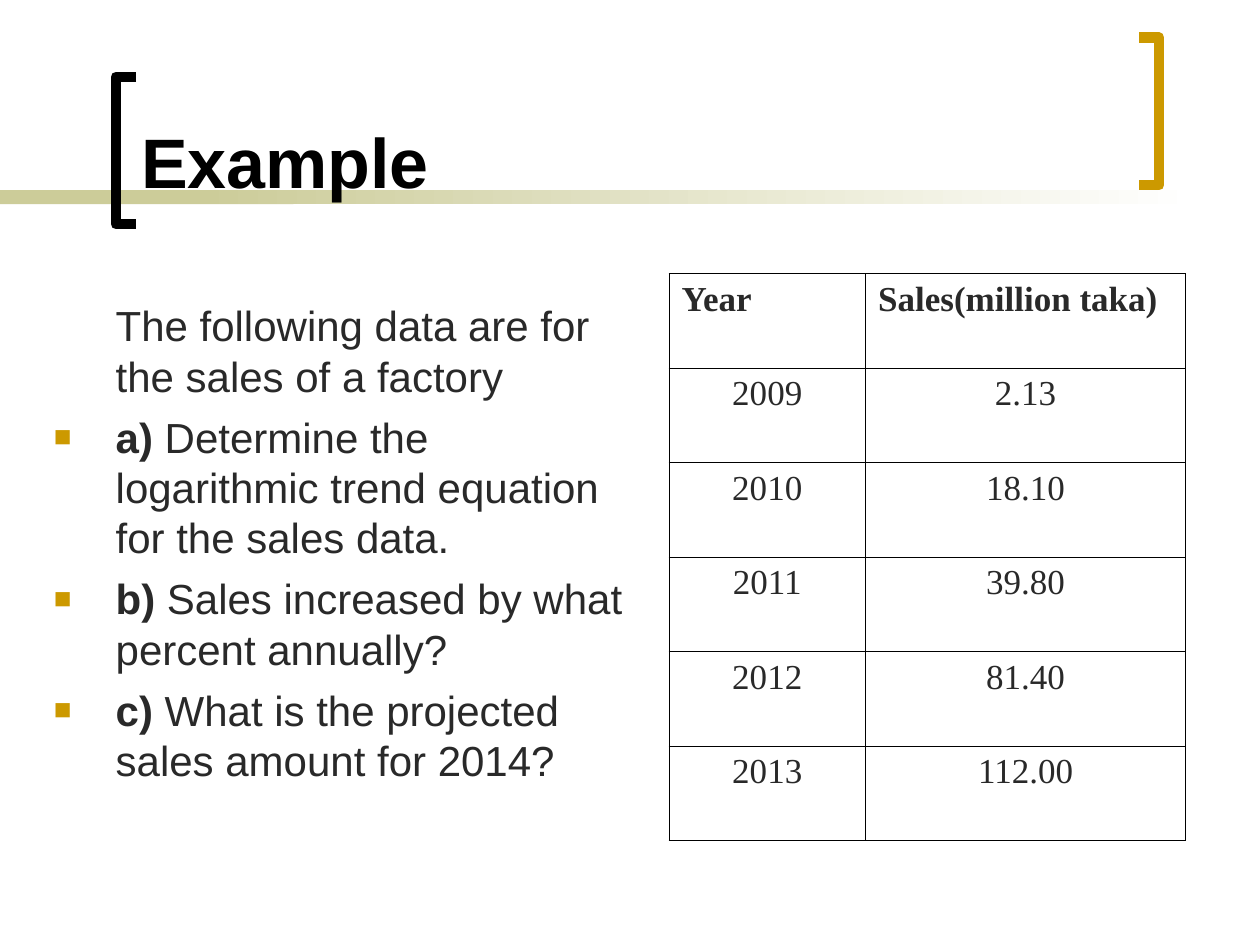
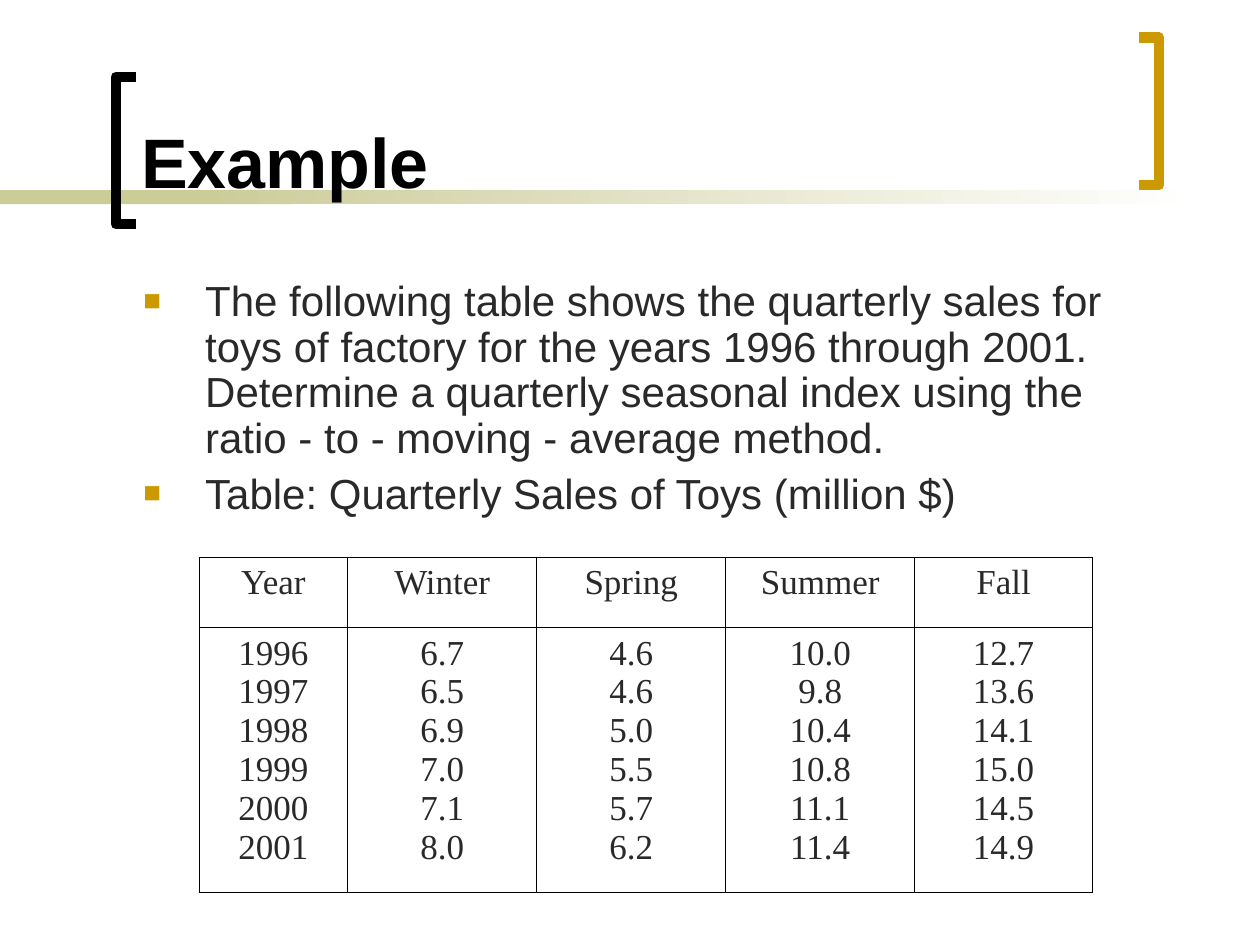
from lxml.etree import SubElement
from pptx import Presentation
from pptx.dml.color import RGBColor
from pptx.enum.shapes import MSO_SHAPE as Preset
from pptx.enum.text import MSO_ANCHOR as Anchor, MSO_AUTO_SIZE as AutoSize, PP_ALIGN as Align
from pptx.oxml import parse_xml
from pptx.oxml.ns import nsdecls, qn
from pptx.util import Inches, Pt

COLORS = {
    "title": "000000",
    "text": "292929",
    "accent": "CC9900",
    "band": "CCCC99",
    "background": "FFFFFF",
    "border": "000000",
}
SANS, SERIF = "Arial", "Times New Roman"
TITLE_SIZE, BODY_SIZE, TABLE_SIZE = Pt(40), Pt(24), Pt(20)
BORDER_WIDTH = Pt(0.45)
BULLET_INDENT = Inches(0.49)
TITLE_ONLY = 5


def color(name):
    return RGBColor.from_string(COLORS[name])


class Deck:
    def __init__(self):
        self.presentation = Presentation()
        self.presentation.slide_width = Inches(10)
        self.presentation.slide_height = Inches(7.5)
        self.slide = None

    def add_slide(self, title):
        layout = self.presentation.slide_layouts[TITLE_ONLY]
        self.slide = self.presentation.slides.add_slide(layout)
        self.band(0, 2.33).solid()
        self.slide.shapes[-1].fill.fore_color.rgb = color("band")
        fade = self.band(1.58, 7.92)
        fade.gradient()
        fade.gradient_angle = 0
        for stop, position, name in zip(fade.gradient_stops, (0, 1), ("band", "background")):
            stop.position = position
            stop.color.rgb = color(name)
        self.bracket(1.08, 0.92, 0.61, "title")
        self.bracket(9.04, 9.2, 0.3, "accent")
        self.title(title)

    def band(self, left, width):
        """Add a strip under the title and return its fill."""
        strip = self.slide.shapes.add_shape(
            Preset.RECTANGLE, Inches(left), Inches(1.51), Inches(width), Inches(0.11))
        strip.shadow.inherit = False
        strip.line.fill.background()
        return strip.fill

    def bracket(self, tip, spine, top, color_name):
        """Draw a square bracket whose arms run from the spine to the tip."""
        bottom = top + 1.17
        corners = [(Inches(x), Inches(y)) for x, y in
                   ((tip, top), (spine, top), (spine, bottom), (tip, bottom))]
        builder = self.slide.shapes.build_freeform(*corners[0])
        builder.add_line_segments(corners[1:], close=False)
        shape = builder.convert_to_shape()
        shape.shadow.inherit = False
        shape.fill.background()
        shape.line.color.rgb = color(color_name)
        shape.line.width = Pt(6)

    def title(self, text):
        title = self.slide.shapes.title
        title.left, title.top = Inches(1.02), Inches(0.11)
        title.width, title.height = Inches(7.83), Inches(1.55)
        frame = title.text_frame
        frame.text = text
        frame.auto_size = AutoSize.NONE
        frame.vertical_anchor = Anchor.BOTTOM
        frame.paragraphs[0].alignment = Align.LEFT
        self.format_runs(frame.paragraphs[0], SANS, TITLE_SIZE, "title", bold=True)
        # The title stands in front of the band
        title.element.getparent().append(title.element)

    def format_runs(self, paragraph, font_name, size, color_name, bold=False):
        for run in paragraph.runs:
            run.font.name = font_name
            run.font.size = size
            run.font.bold = bold
            run.font.color.rgb = color(color_name)

    def body(self, left, top, width, height, items, line_spacing):
        """Add paragraphs from (bulleted, bold label, text) items."""
        box = self.slide.shapes.add_textbox(
            Inches(left), Inches(top), Inches(width), Inches(height))
        frame = box.text_frame
        frame.word_wrap = True
        for index, (bulleted, label, text) in enumerate(items):
            paragraph = frame.add_paragraph() if index else frame.paragraphs[0]
            paragraph.text = label or text
            if label:
                paragraph.add_run().text = text
            paragraph.line_spacing = line_spacing
            paragraph.space_before = Pt(6) if index else Pt(0)
            self.format_runs(paragraph, SANS, BODY_SIZE, "text")
            paragraph.runs[0].font.bold = bool(label)
            self.indent(paragraph, bulleted)

    def indent(self, paragraph, bulleted):
        properties = paragraph._p.get_or_add_pPr()
        properties.set("marL", str(BULLET_INDENT))
        properties.set("indent", str(-BULLET_INDENT if bulleted else 0))
        if bulleted:
            bullet_color = SubElement(properties, qn("a:buClr"))
            SubElement(bullet_color, qn("a:srgbClr"), val=COLORS["accent"])
            SubElement(properties, qn("a:buSzPct"), val="70000")
            SubElement(properties, qn("a:buFont"), typeface=SANS)
            SubElement(properties, qn("a:buChar"), char="■")

    def table(self, left, top, column_widths, row_heights, rows,
              header_bold=False, header_alignment=Align.CENTER):
        table = self.slide.shapes.add_table(
            len(rows), len(column_widths), Inches(left), Inches(top),
            Inches(sum(column_widths)), Inches(sum(row_heights))).table
        table.first_row = table.horz_banding = False
        for column, width in zip(table.columns, column_widths):
            column.width = Inches(width)
        for row_index, (row, height, values) in enumerate(zip(table.rows, row_heights, rows)):
            row.height = Inches(height)
            is_header = row_index == 0
            for cell, value in zip(row.cells, values):
                cell.text = value
                cell.fill.background()
                self.border(cell)
                for paragraph in cell.text_frame.paragraphs:
                    paragraph.alignment = header_alignment if is_header else Align.CENTER
                    self.format_runs(paragraph, SERIF, TABLE_SIZE, "text",
                                     bold=is_header and header_bold)

    def border(self, cell):
        properties = cell._tc.get_or_add_tcPr()
        for index, side in enumerate("LRTB"):
            properties.insert(index, parse_xml(
                f'<a:ln{side} {nsdecls("a")} w="{BORDER_WIDTH}"><a:solidFill>'
                f'<a:srgbClr val="{COLORS["border"]}"/></a:solidFill></a:ln{side}>'))


def add_factory_sales(deck):
    deck.add_slide("Example")
    deck.body(0.33, 2.33, 4.73, 4.5, [
        (False, "", "The following data are for the sales of a factory"),
        (True, "a)", " Determine the logarithmic trend equation for the sales data."),
        (True, "b)", " Sales increased by what percent annually?"),
        (True, "c)", " What is the projected sales amount for 2014?"),
    ], line_spacing=Pt(28.8))
    rows = [
        ("Year", "Sales(million taka)"),
        ("2009", "2.13"),
        ("2010", "18.10"),
        ("2011", "39.80"),
        ("2012", "81.40"),
        ("2013", "112.00"),
    ]
    deck.table(5.31, 2.17, (1.56, 2.54), [0.75] * len(rows), rows,
               header_bold=True, header_alignment=Align.JUSTIFY)


def add_toy_sales(deck):
    deck.add_slide("Example")
    deck.body(1.04, 2.17, 8.3, 2.17, [
        (True, "", "The following table shows the quarterly sales for toys of factory "
                   "for the years 1996 through 2001. Determine a quarterly seasonal index "
                   "using the ratio - to - moving - average method."),
        (True, "", "Table: Quarterly Sales of Toys (million $)"),
    ], line_spacing=Pt(26))
    sales = {
        "Year": "1996 1997 1998 1999 2000 2001",
        "Winter": "6.7 6.5 6.9 7.0 7.1 8.0",
        "Spring": "4.6 4.6 5.0 5.5 5.7 6.2",
        "Summer": "10.0 9.8 10.4 10.8 11.1 11.4",
        "Fall": "12.7 13.6 14.1 15.0 14.5 14.9",
    }
    stacked = ["\n".join(values.split()) for values in sales.values()]
    deck.table(1.58, 4.42, (1.18, 1.5, 1.5, 1.5, 1.41), (0.56, 2.1), [list(sales), stacked])


def main():
    deck = Deck()
    add_factory_sales(deck)
    add_toy_sales(deck)
    deck.presentation.save("out.pptx")


if __name__ == "__main__":
    main()
